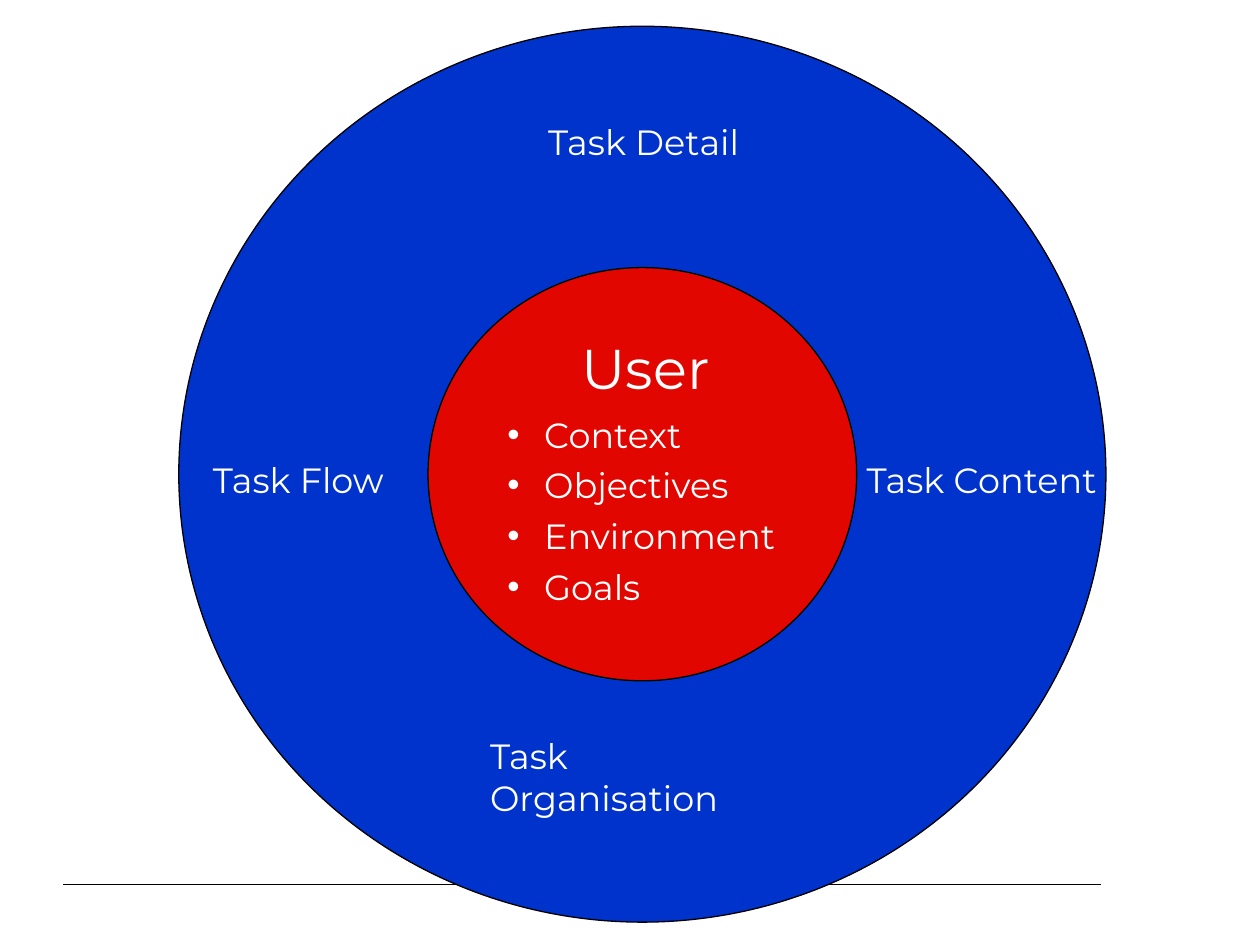
from lxml import etree
from pptx import Presentation
from pptx.dml.color import RGBColor
from pptx.enum.shapes import MSO_CONNECTOR, MSO_SHAPE
from pptx.enum.text import MSO_AUTO_SIZE, PP_ALIGN
from pptx.oxml.ns import qn
from pptx.util import Cm, Pt

OVAL = MSO_SHAPE.OVAL
LINE = MSO_CONNECTOR.STRAIGHT
GROW = MSO_AUTO_SIZE.SHAPE_TO_FIT_TEXT
LEFT, CENTER = PP_ALIGN.LEFT, PP_ALIGN.CENTER

BLUE = RGBColor(0x00, 0x33, 0xCC)
RED = RGBColor(0xE1, 0x06, 0x00)
BLACK = RGBColor(0x00, 0x00, 0x00)
WHITE = RGBColor(0xFF, 0xFF, 0xFF)
FONT = "Montserrat"

MID = (12.95, 9.56)
RINGS = [(18.69, 18.06, BLUE), (8.64, 8.33, RED)]
TITLE = "User"
ITEMS = ["Context", "Objectives", "Environment", "Goals"]
LABELS = [
    ("Task Detail", 10.8, 2.31, 4.37, False),
    ("Task Content", 17.22, 9.12, 5.16, False),
    ("Task Organisation", 9.63, 14.68, 6.48, True),
    ("Task Flow", 4.04, 9.12, 3.96, False),
]


def add_box(slide, x, y, wide, high, wrap):
    box = slide.shapes.add_textbox(Cm(x), Cm(y), Cm(wide), Cm(high))
    frame = box.text_frame
    frame.word_wrap = wrap
    frame.auto_size = GROW
    return frame


def write(para, text, size=20, align=LEFT, after=0, bullet=False):
    para.alignment = align
    para.space_after = Pt(after)
    run = para.add_run()
    run.text = text
    run.font.name = FONT
    run.font.size = Pt(size)
    run.font.color.rgb = WHITE
    if bullet:
        props = para._p.get_or_add_pPr()
        props.set("marL", str(Cm(0.74)))
        props.set("indent", str(-Cm(0.74)))
        etree.SubElement(props, qn("a:buFont")).set("typeface", "Arial")
        etree.SubElement(props, qn("a:buChar")).set("char", "•")


def main():
    deck = Presentation()
    deck.slide_width, deck.slide_height = Cm(25.4), Cm(19.05)
    slide = deck.slides.add_slide(deck.slide_layouts[6])

    rule = slide.shapes.add_connector(LINE, Cm(1.27), Cm(17.83), Cm(22.2), Cm(17.83))
    rule.line.color.rgb = BLACK
    rule.line.width = Pt(0.75)
    etree.SubElement(rule._element.spPr, qn("a:effectLst"))

    for wide, high, color in RINGS:
        left, top = MID[0] - wide / 2, MID[1] - high / 2
        ring = slide.shapes.add_shape(OVAL, Cm(left), Cm(top), Cm(wide), Cm(high))
        ring.shadow.inherit = False
        ring.fill.solid()
        ring.fill.fore_color.rgb = color
        ring.line.color.rgb = BLACK
        ring.line.width = Pt(0.75)

    frame = add_box(slide, 9.98, 6.6, 6.07, 5.97, True)
    write(frame.paragraphs[0], TITLE, size=32, align=CENTER, after=7)
    for item in ITEMS:
        write(frame.add_paragraph(), item, after=5, bullet=True)

    for text, x, y, wide, wrap in LABELS:
        frame = add_box(slide, x, y, wide, 1.12, wrap)
        write(frame.paragraphs[0], text)

    deck.save("out.pptx")


if __name__ == "__main__":
    main()
